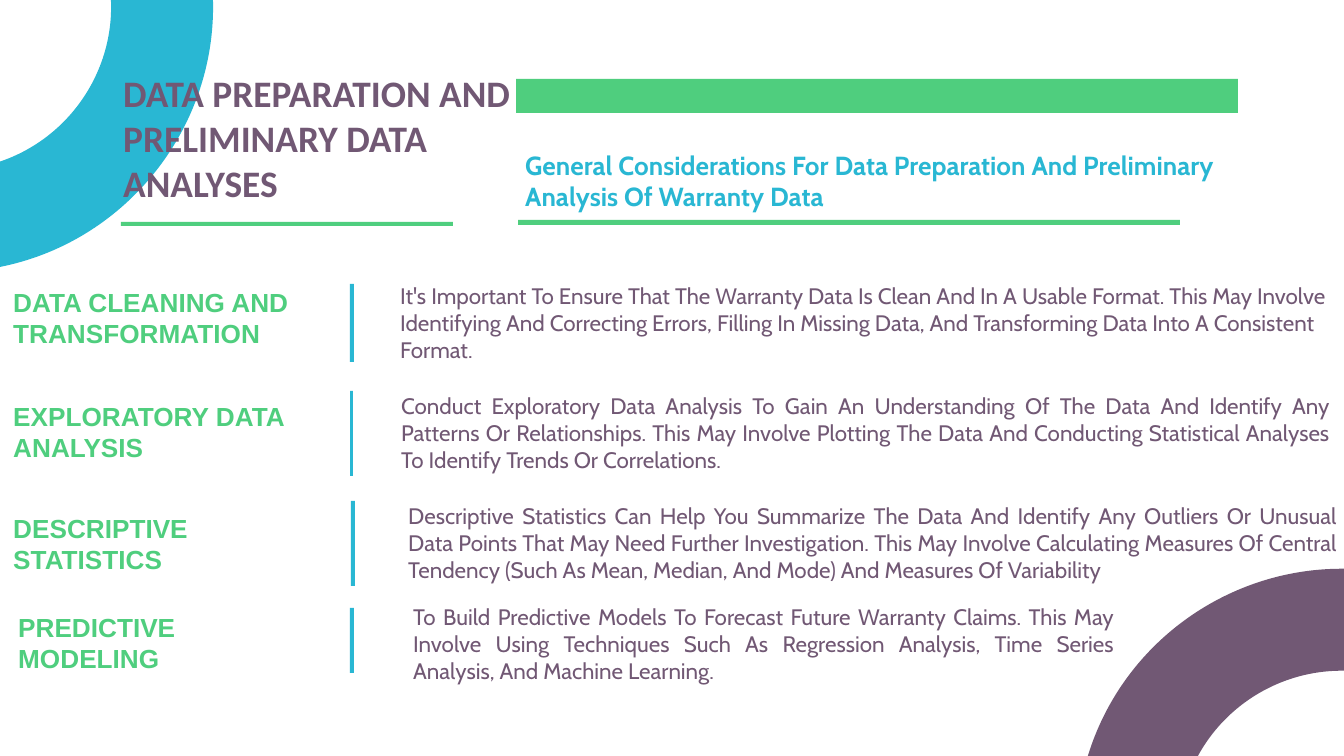
"""Build the slide on data preparation and preliminary data analyses."""
from lxml import etree
from pptx import Presentation
from pptx import util as u
from pptx.dml.color import RGBColor
from pptx.enum import shapes, text
from pptx.oxml.ns import qn

PX = 914400 / 134.4
COLORS = {"green": "4FCE7E", "blue": "29B7D3", "purple": "715874"}
INSET = u.Inches(0.1)
RING_OUTER, RING_INNER = 265, 163
ARC_PULL = 0.55

# heading box, divider and body box are each (left, top, width, height)
STEPS = [
    ("DATA CLEANING AND TRANSFORMATION", (0, 273, 317, 85), (350, 284, 4, 78),
     "It's Important To Ensure That The Warranty Data Is Clean And In A Usable Format. "
     "This May Involve Identifying And Correcting Errors, Filling In Missing Data, And "
     "Transforming Data Into A Consistent Format.",
     (387, 269, 957, 145), text.PP_ALIGN.LEFT),
    ("EXPLORATORY DATA ANALYSIS", (0, 387, 317, 85), (350, 391, 3, 85),
     "Conduct Exploratory Data Analysis To Gain An Understanding Of The Data And Identify "
     "Any Patterns Or Relationships. This May Involve Plotting The Data And Conducting "
     "Statistical Analyses To Identify Trends Or Correlations.",
     (388, 379, 956, 110), text.PP_ALIGN.JUSTIFY),
    ("DESCRIPTIVE STATISTICS", (0, 499, 233, 85), (351, 501, 4, 85),
     "Descriptive Statistics Can Help You Summarize The Data And Identify Any Outliers Or "
     "Unusual Data Points That May Need Further Investigation. This May Involve Calculating "
     "Measures Of Central Tendency (Such As Mean, Median, And Mode) And Measures Of Variability",
     (395, 489, 956, 110), text.PP_ALIGN.JUSTIFY),
    ("PREDICTIVE MODELING", (5, 598, 233, 85), (350, 608, 4, 65),
     "To Build Predictive Models To Forecast Future Warranty Claims. This May Involve Using "
     "Techniques Such As Regression Analysis, Time Series Analysis, And Machine Learning.",
     (400, 590, 728, 110), text.PP_ALIGN.JUSTIFY),
]


def px(length):
    """Turn pixels into EMU."""
    return u.Emu(round(length * PX))


def paint(shape, color):
    """Fill a shape with one colour, without outline or shadow."""
    shape.shadow.inherit = False
    shape.fill.solid()
    shape.fill.fore_color.rgb = RGBColor.from_string(COLORS[color])
    shape.line.fill.background()


def add_bar(slide, box, color):
    """Add a plain rectangle."""
    paint(slide.shapes.add_shape(shapes.MSO_SHAPE.RECTANGLE, *map(px, box)), color)


def bend(side, start, end):
    """Turn a straight side into a quarter arc that is level at its upper end."""
    (x1, y1), (x2, y2) = start, end
    if y1 > y2:
        controls = [(x1, y1 + ARC_PULL * (y2 - y1)), (x2 + ARC_PULL * (x1 - x2), y2)]
    else:
        controls = [(x1 + ARC_PULL * (x2 - x1), y1), (x2, y2 + ARC_PULL * (y1 - y2))]
    curve = etree.Element(qn("a:cubicBezTo"))
    for x, y in controls + [end]:
        etree.SubElement(curve, qn("a:pt"), x=str(px(x)), y=str(px(y)))
    side.getparent().replace(side, curve)


def add_ring(slide, left, top, rotation, color, mirrored=False):
    """Add a quarter ring in a square box, turned by the rotation in degrees."""
    band = RING_OUTER - RING_INNER
    corners = [(0, RING_OUTER), (RING_OUTER, 0), (RING_OUTER, band), (band, RING_OUTER)]
    if mirrored:
        corners = [(RING_OUTER - x, y) for x, y in corners]
    outline = [(px(x), px(y)) for x, y in corners]
    builder = slide.shapes.build_freeform(*outline[0])
    builder.add_line_segments(outline[1:], close=True)
    ring = builder.convert_to_shape(px(left), px(top))
    outer_side, _, inner_side = list(ring._element.iter(qn("a:lnTo")))[:3]
    bend(outer_side, *corners[:2])
    bend(inner_side, *corners[2:])
    ring.rotation = rotation
    paint(ring, color)


def add_text(slide, box, words, font, size, color, bold=False, align=text.PP_ALIGN.LEFT):
    """Add a wrapped, top-anchored text box with one paragraph."""
    frame = slide.shapes.add_textbox(*map(px, box)).text_frame
    frame.word_wrap = True
    frame.vertical_anchor = text.MSO_ANCHOR.TOP
    frame.margin_left = frame.margin_right = INSET
    frame.margin_top = frame.margin_bottom = INSET
    frame.text = words
    paragraph = frame.paragraphs[0]
    paragraph.alignment = align
    letters = paragraph.runs[0].font
    letters.name, letters.size, letters.bold = font, u.Pt(size), bold
    letters.color.rgb = RGBColor.from_string(COLORS[color])


def add_step(slide, heading, heading_box, divider, body, body_box, align):
    """Add one analysis step: heading, divider and explanation."""
    add_text(slide, heading_box, heading, "Arial", 14, "green", bold=True)
    add_bar(slide, divider, "blue")
    add_text(slide, body_box, body, "Cabin", 12, "purple", align=align)


def main():
    """Build and save the slide."""
    deck = Presentation()
    deck.slide_width, deck.slide_height = px(1344), px(756)
    slide = deck.slides.add_slide(deck.slide_layouts[6])

    add_bar(slide, (516, 79, 722, 34), "green")
    add_ring(slide, 1115, 539, 15, "purple")
    add_ring(slide, -36, -11, 82.6, "blue", mirrored=True)
    add_text(slide, (110, 57, 440, 85), "DATA PREPARATION AND PRELIMINARY DATA ANALYSES",
             "Calibri", 20, "purple", bold=True)
    add_text(slide, (512, 136, 722, 85),
             "General Considerations For Data Preparation And Preliminary "
             "Analysis Of Warranty Data", "Cabin", 14, "blue", bold=True)
    add_bar(slide, (121, 222, 332, 4), "green")
    add_bar(slide, (518, 220, 662, 5), "green")
    for step in STEPS:
        add_step(slide, *step)
    deck.save("out.pptx")


if __name__ == "__main__":
    main()
